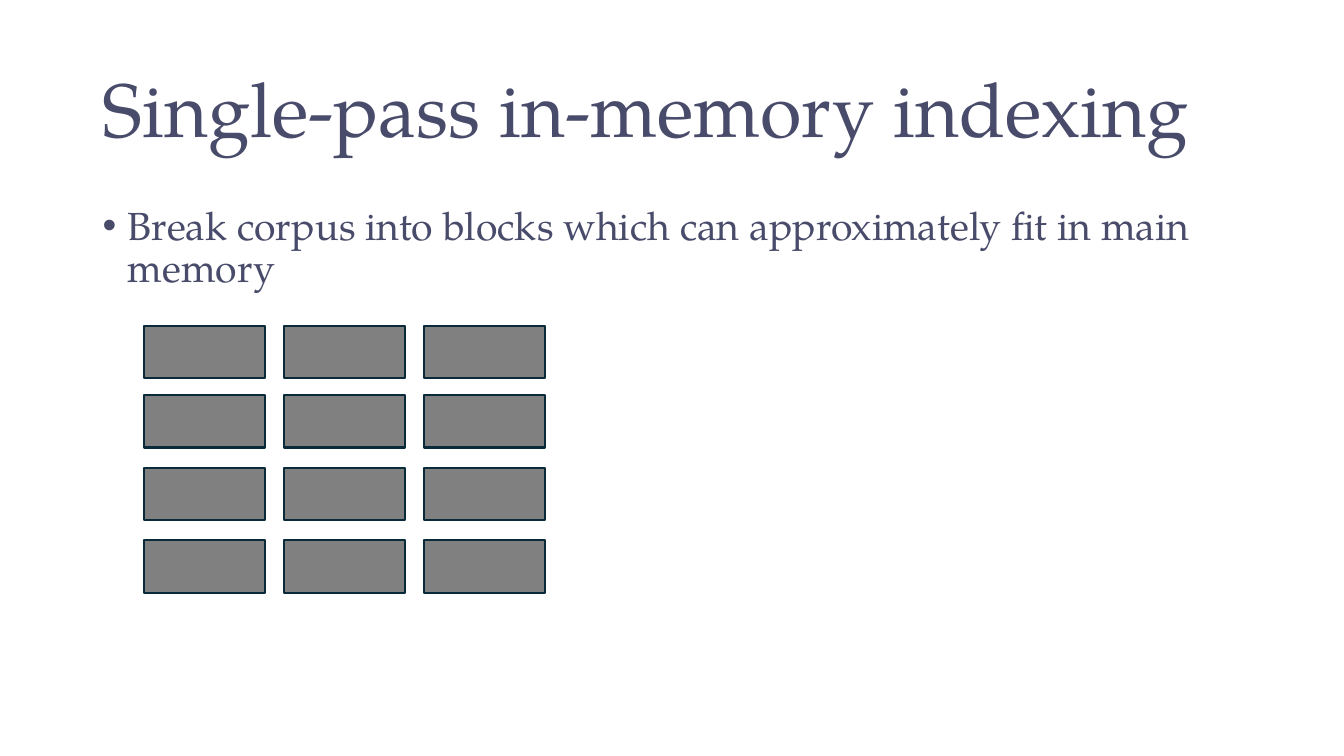
from itertools import product

from lxml import etree
from pptx import Presentation
from pptx import util as u
from pptx.dml.color import RGBColor
from pptx.enum import shapes, text
from pptx.oxml.ns import qn

COLOURS = {"ink": "484B6A", "block": "808080", "edge": "092A39"}
FONT = "TeX Gyre Pagella"

# Block grid, in inches
COLUMNS, COLUMN_STEP = 3, 1.39
GRID_LEFT = 1.43
ROW_TOPS = (3.23, 3.92, 4.64, 5.36)
BLOCK_WIDTH, BLOCK_HEIGHT = 1.2, 0.52


def colour(name):
    return RGBColor.from_string(COLOURS[name])


def add_text(page, place, wording, size, anchor):
    """Add a wrapped text box and return its paragraph."""
    box = page.shapes.add_textbox(*map(u.Inches, place))
    frame = box.text_frame
    frame.word_wrap = True
    frame.vertical_anchor = anchor
    para = frame.paragraphs[0]
    para.line_spacing = 0.9
    span = para.add_run()
    span.text = wording
    span.font.name = FONT
    span.font.size = u.Pt(size)
    span.font.color.rgb = colour("ink")
    return para


def add_bullet(para, indent):
    """Give a paragraph a hanging bullet."""
    properties = para._p.get_or_add_pPr()
    properties.set("marL", str(u.Inches(indent)))
    properties.set("indent", str(-u.Inches(indent)))
    etree.SubElement(properties, qn("a:buFont"), typeface="Arial")
    etree.SubElement(properties, qn("a:buChar"), char="•")


def add_block(page, left, top):
    """Add one block of the corpus."""
    block = page.shapes.add_shape(
        shapes.MSO_SHAPE.RECTANGLE,
        *map(u.Inches, (left, top, BLOCK_WIDTH, BLOCK_HEIGHT)))
    block.shadow.inherit = False
    block.fill.solid()
    block.fill.fore_color.rgb = colour("block")
    block.line.color.rgb = colour("edge")
    block.line.width = u.Pt(1.5)


def main():
    deck = Presentation()
    deck.slide_width, deck.slide_height = u.Inches(13.33), u.Inches(7.5)
    page = deck.slides.add_slide(deck.slide_layouts[6])

    # Title
    add_text(page, (0.92, 0.4, 11.5, 1.45), "Single-pass in-memory indexing",
             54, text.MSO_ANCHOR.MIDDLE)

    # Bullet point
    point = add_text(
        page, (0.92, 2, 11.5, 5.3),
        "Break corpus into blocks which can approximately fit in main memory",
        28, text.MSO_ANCHOR.TOP)
    point.space_before = u.Pt(10)
    add_bullet(point, 0.25)

    # Corpus blocks, column by column
    for column, top in product(range(COLUMNS), ROW_TOPS):
        add_block(page, GRID_LEFT + column * COLUMN_STEP, top)

    deck.save("out.pptx")


if __name__ == "__main__":
    main()
